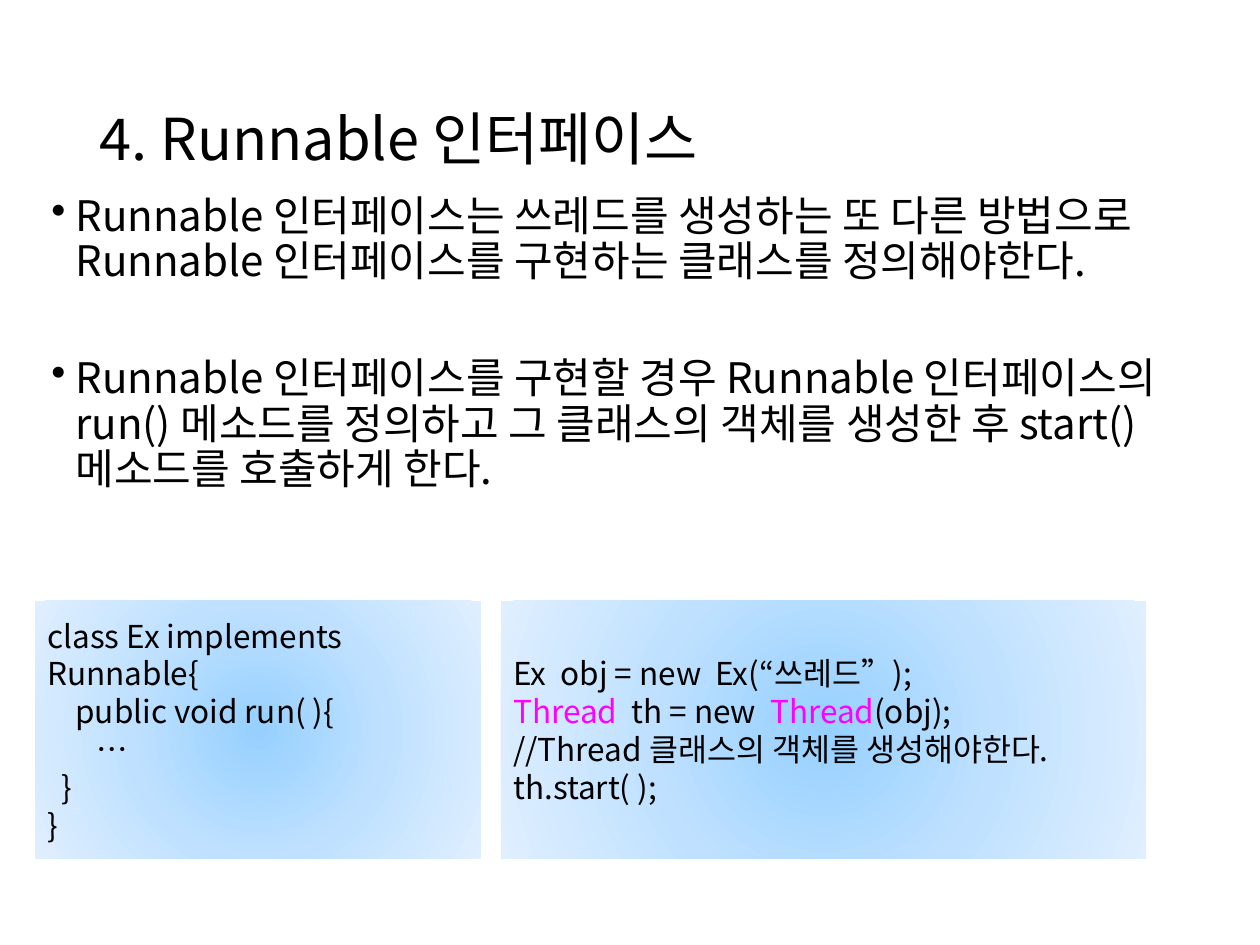
import pptx
import pptx.dml.color
import pptx.enum.shapes
import pptx.enum.text
import pptx.oxml
import pptx.oxml.ns
import pptx.util
from lxml import etree

PX = 914400 // 126
FONT = "Noto Sans CJK KR"
BLACK = pptx.dml.color.RGBColor(0x00, 0x00, 0x00)
MAGENTA = pptx.dml.color.RGBColor(0xFF, 0x00, 0xFF)
GLOW = [
    (0, pptx.dml.color.RGBColor(0x96, 0xD0, 0xFF)),
    (50, pptx.dml.color.RGBColor(0xBF, 0xE1, 0xFF)),
    (100, pptx.dml.color.RGBColor(0xE0, 0xEF, 0xFF)),
]
SPACE = 7

TITLE = "4. Runnable 인터페이스"
BULLETS = [
    ("Runnable 인터페이스는 쓰레드를 생성하는 또 다른 방법으로 "
     "Runnable 인터페이스를 구현하는 클래스를 정의해야한다.", 7.5),
    ("Runnable 인터페이스를 구현할 경우 Runnable 인터페이스의 run() 메소드를 "
     "정의하고 그 클래스의 객체를 생성한 후 start() 메소드를 호출하게 한다.", 41),
]
CLASS_CODE = [
    (0, [("class Ex implements Runnable{", BLACK)]),
    (4, [("public void run( ){", BLACK)]),
    (7, [("…", BLACK)]),
    (2, [("}", BLACK)]),
    (0, [("}", BLACK)]),
]
CALL_CODE = [
    (0, [("Ex  obj = new  Ex(“쓰레드”);", BLACK)]),
    (0, [("Thread", MAGENTA), ("  th = new  ", BLACK),
         ("Thread", MAGENTA), ("(obj);", BLACK)]),
    (0, [("//Thread 클래스의 객체를 생성해야한다.", BLACK)]),
    (0, [("th.start( );", BLACK)]),
]


def px(*lengths):
    """Turn px lengths into EMU."""
    return [n * PX for n in lengths]


def style(p, size):
    """Give a paragraph its font, size, colour and left alignment."""
    p.alignment = pptx.enum.text.PP_ALIGN.LEFT
    p.font.name = FONT
    p.font.size = pptx.util.Pt(size)
    p.font.color.rgb = BLACK
    ea = etree.SubElement(p.font._element, pptx.oxml.ns.qn("a:ea"))
    ea.set("typeface", FONT)


def indent(p, left, first=0):
    """Set a paragraph's left margin and first-line indent in px."""
    pPr = p._p.get_or_add_pPr()
    pPr.set("marL", str(left * PX))
    pPr.set("indent", str(first * PX))


def add_paragraphs(tf, count):
    """Return the given number of paragraphs in an empty text frame."""
    return [tf.paragraphs[0]] + [tf.add_paragraph() for _ in range(count - 1)]


def set_title(s, box):
    """Place and format the title."""
    sp = s.shapes.title
    sp.left, sp.top, sp.width, sp.height = px(*box)
    tf = sp.text_frame
    tf.text = TITLE
    tf.vertical_anchor = pptx.enum.text.MSO_ANCHOR.MIDDLE
    tf.paragraphs[0].line_spacing = 0.9
    style(tf.paragraphs[0], 33)


def add_bullets(s, box):
    """Add the bulleted explanation."""
    tf = s.shapes.add_textbox(*px(*box)).text_frame
    tf.word_wrap = True
    for p, (text, before) in zip(add_paragraphs(tf, len(BULLETS)), BULLETS):
        p.text = text
        p.line_spacing = 0.9
        p.space_before = pptx.util.Pt(before)
        style(p, 24)
        indent(p, 24, -24)
        bullet = etree.Element(pptx.oxml.ns.qn("a:buChar"), char="•")
        p.font._element.addprevious(bullet)


def fill_glow(sp):
    """Fill a shape with a gradient that spreads from its centre."""
    stops = "".join(
        f'<a:gs pos="{pos * 1000}"><a:srgbClr val="{color}"/></a:gs>'
        for pos, color in GLOW)
    grad = pptx.oxml.parse_xml(
        f'<a:gradFill {pptx.oxml.ns.nsdecls("a")} rotWithShape="1">'
        f'<a:gsLst>{stops}</a:gsLst><a:path path="circle">'
        '<a:fillToRect l="50000" t="50000" r="50000" b="50000"/>'
        '</a:path></a:gradFill>')
    sp.fill.background()
    spPr = sp._element.spPr
    spPr.replace(spPr.find(pptx.oxml.ns.qn("a:noFill")), grad)


def add_code(s, box, lines):
    """Add a code panel; each line is its indent and coloured runs."""
    sp = s.shapes.add_shape(
        pptx.enum.shapes.MSO_SHAPE.RECTANGLE, *px(*box))
    sp.shadow.inherit = False
    sp.line.fill.background()
    fill_glow(sp)
    tf = sp.text_frame
    tf.word_wrap = True
    tf.vertical_anchor = pptx.enum.text.MSO_ANCHOR.MIDDLE
    for p, (spaces, runs) in zip(add_paragraphs(tf, len(lines)), lines):
        style(p, 18)
        indent(p, spaces * SPACE)
        for text, color in runs:
            r = p.add_run()
            r.text = text
            r.font.color.rgb = color


def main():
    """Build the slide and save it."""
    prs = pptx.Presentation()
    prs.slide_width, prs.slide_height = px(1260, 945)
    s = prs.slides.add_slide(prs.slide_layouts[5])
    set_title(s, (87, 50, 1086, 183))
    add_bullets(s, (39, 189, 1191, 393))
    add_code(s, (35, 601, 446, 258), CLASS_CODE)
    add_code(s, (501, 601, 645, 258), CALL_CODE)
    prs.save("out.pptx")


if __name__ == "__main__":
    main()
